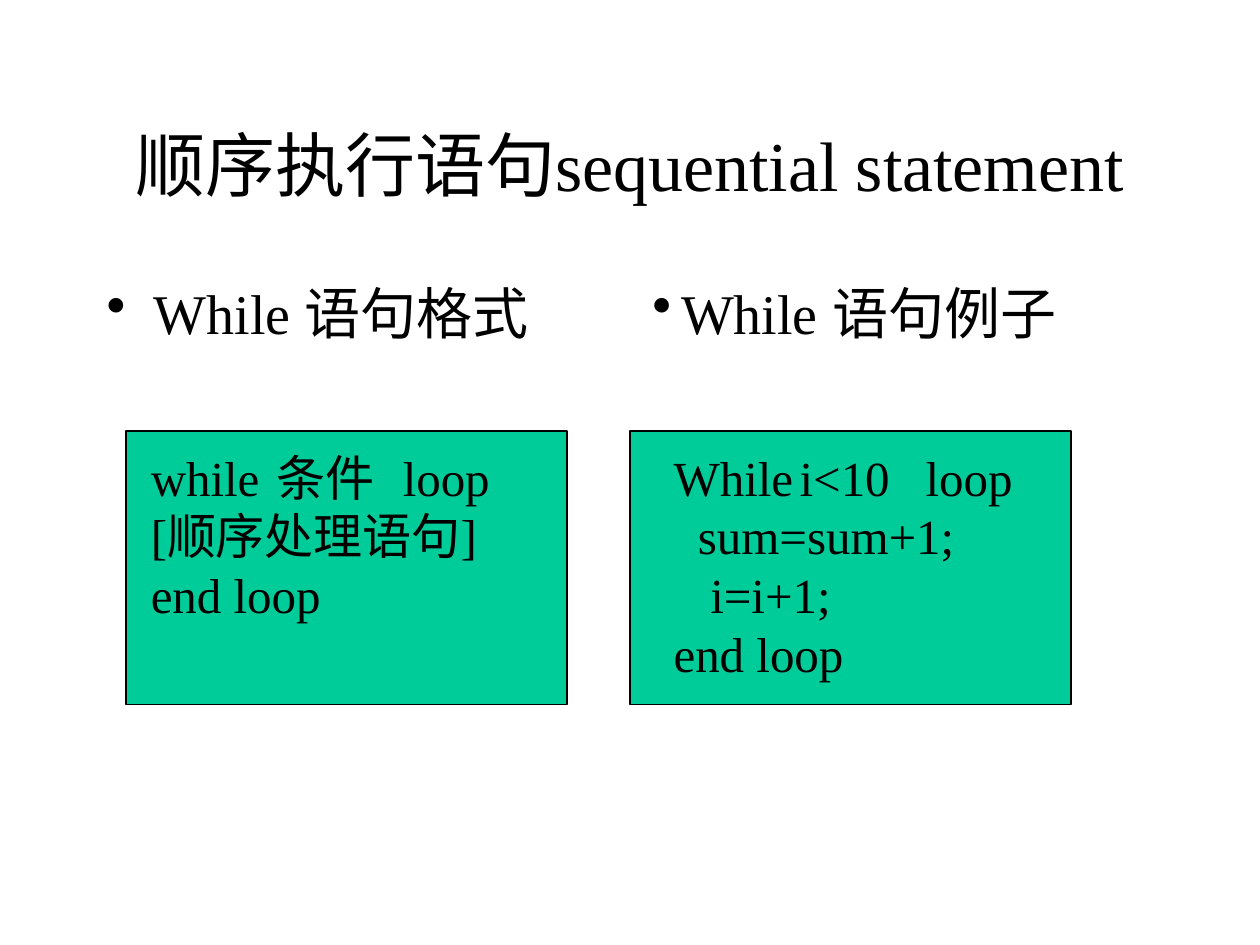
from lxml.etree import SubElement
from pptx import Presentation
from pptx.dml.color import RGBColor
from pptx.enum.shapes import MSO_SHAPE as Shape
from pptx.enum.text import MSO_ANCHOR as Anchor, PP_ALIGN as Align
from pptx.oxml.ns import qn
from pptx.util import Cm, Pt

FONT = "Times New Roman"
INK = "000000"
GREEN = "00CC99"


def color(value):
    """Turn a hex string into a colour."""
    return RGBColor.from_string(value)


def format_paragraph(paragraph, indent=0, hanging=0, bullet=None, tabs=()):
    """Set the indents, bullet and tab stops of a paragraph, in centimetres."""
    properties = paragraph._p.get_or_add_pPr()
    properties.set("marL", str(Cm(indent + hanging)))
    properties.set("indent", str(-Cm(hanging)))
    if bullet:
        SubElement(properties, qn("a:buChar"), char=bullet)
    if tabs:
        stops = SubElement(properties, qn("a:tabLst"))
        for position in tabs:
            SubElement(stops, qn("a:tab"), pos=str(Cm(position)), algn="l")


def add_text(slide, box, lines, size, align=Align.LEFT, anchor=Anchor.TOP):
    """Place lines, each a text with its paragraph format, in a box."""
    frame = slide.shapes.add_textbox(*map(Cm, box)).text_frame
    frame.word_wrap = True
    frame.vertical_anchor = anchor
    for number, (text, layout) in enumerate(lines):
        paragraph = frame.add_paragraph() if number else frame.paragraphs[0]
        paragraph.alignment = align
        format_paragraph(paragraph, **layout)
        run = paragraph.add_run()
        run.text = text
        run.font.name = FONT
        run.font.size = Pt(size)
        run.font.color.rgb = color(INK)


def add_heading(slide, box, text, hanging):
    """Place a bulleted column heading."""
    add_text(slide, box, [(text, {"hanging": hanging, "bullet": "•"})], 32)


def add_code_panel(slide, box, code, inset, code_size):
    """Place a green panel with code set in from its left edge."""
    left, top, width, height = box
    panel = slide.shapes.add_shape(Shape.RECTANGLE, *map(Cm, box))
    panel.shadow.inherit = False
    panel.fill.solid()
    panel.fill.fore_color.rgb = color(GREEN)
    panel.line.color.rgb = color(INK)
    panel.line.width = Pt(0.75)
    add_text(slide, (left + inset, top + 0.2, *code_size), code, 28)


def build_slide(slide):
    """Place the title and the two columns, format and example."""
    title = [("顺序执行语句sequential statement", {})]
    add_text(slide, (1.9, 1.7, 21.6, 3.18), title, 40, Align.CENTER, Anchor.MIDDLE)

    add_heading(slide, (1.9, 5.5, 9.32, 1.9), "While 语句格式", 0.95)
    syntax = [
        ("while\t条件\tloop", {"tabs": (2.96, 6.25)}),
        ("[顺序处理语句]", {}),
        ("end loop", {}),
    ]
    add_code_panel(slide, (2.54, 8.69, 8.89, 5.51), syntax, 0.25, (8.6, 3.81))

    add_heading(slide, (12.9, 5.5, 8.71, 2.97), "While 语句例子", 0.58)
    example = [
        ("While\ti<10\tloop", {"tabs": (3.15, 5.46)}),
        ("sum=sum+1;", {"indent": 0.49}),
        ("i=i+1;", {"indent": 0.74}),
        ("end loop", {}),
    ]
    add_code_panel(slide, (12.7, 8.69, 8.89, 5.51), example, 0.63, (9.96, 5))


def main():
    """Build and save the presentation."""
    deck = Presentation()
    deck.slide_width, deck.slide_height = Cm(25.4), Cm(19.05)
    build_slide(deck.slides.add_slide(deck.slide_layouts[6]))
    deck.save("out.pptx")


if __name__ == "__main__":
    main()
